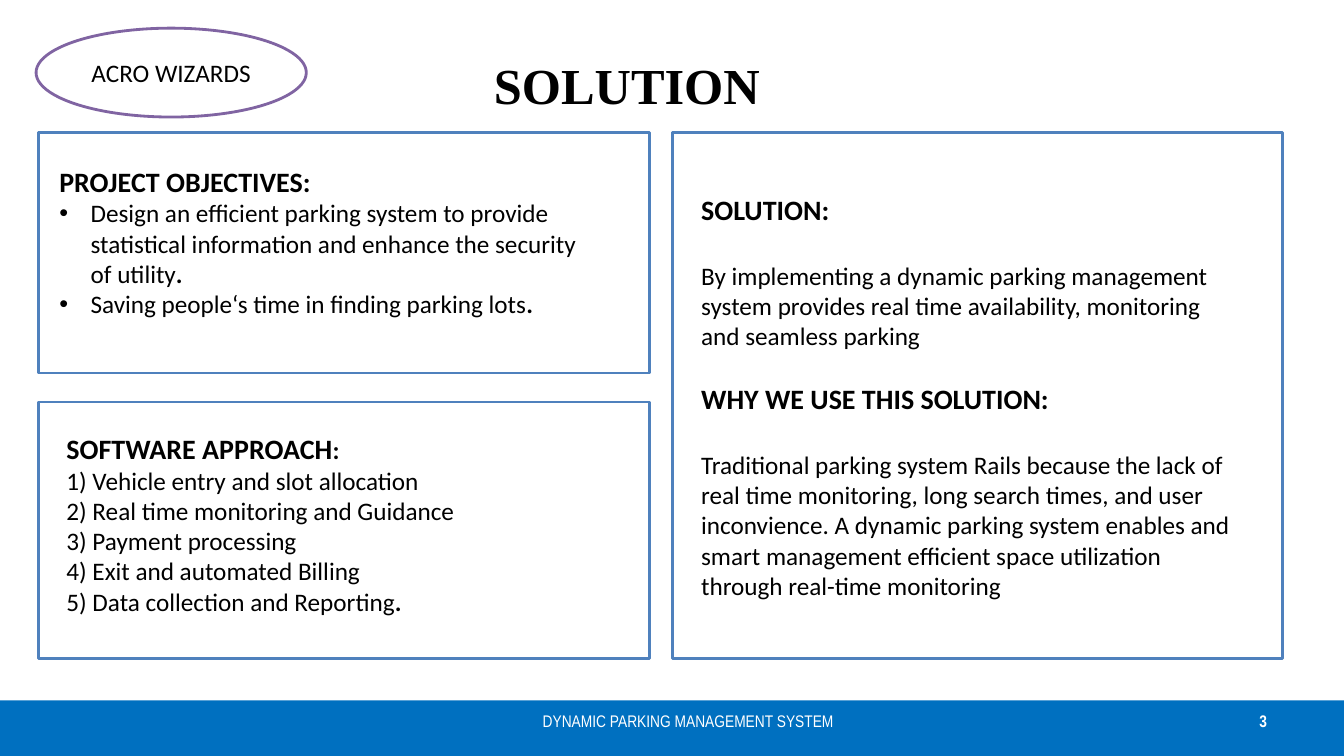
from lxml.etree import SubElement
from pptx import Presentation
from pptx.dml.color import RGBColor
from pptx.enum.shapes import MSO_SHAPE
from pptx.enum.text import MSO_ANCHOR, MSO_AUTO_SIZE, PP_ALIGN
from pptx.oxml.ns import qn
from pptx.util import Cm, Pt

COLORS = {"bar": "0070C0", "panel": "4F81BD", "badge": "8064A2",
          "text": "000000", "light": "FFFFFF"}
HEADING, BODY = 20, 18

TITLE = "SOLUTION"
TEAM = "ACRO WIZARDS"
FOOTER = "DYNAMIC PARKING MANAGEMENT SYSTEM"
PAGE = "3"

# Each paragraph: style, text, bold ending, space after in points
OBJECTIVES = [
    ("heading", "PROJECT OBJECTIVES:", "", 0),
    ("bullet", "Design an efficient parking system to provide statistical "
     "information and enhance the security of utility", ".", 0),
    ("bullet", "Saving people‘s time in finding parking lots", ".", 0),
]
APPROACH = [
    ("heading", "SOFTWARE APPROACH", ":", 0),
    ("body", "1) Vehicle entry and slot allocation", "", 0),
    ("body", "2) Real time monitoring and Guidance", "", 0),
    ("body", "3) Payment processing", "", 0),
    ("body", "4) Exit and automated Billing", "", 0),
    ("body", "5) Data collection and Reporting", ".", 0),
]
REASONS = [
    ("heading", "SOLUTION:", "", 24.4),
    ("body", "By implementing a dynamic parking management system provides "
     "real time availability, monitoring and seamless parking", "", 22),
    ("heading", "WHY WE USE THIS SOLUTION:", "", 24.4),
    ("body", "Traditional parking system Rails because the lack of real time "
     "monitoring, long search times, and user inconvience. A dynamic parking "
     "system enables and smart management efficient space utilization through "
     "real-time monitoring", "", 0),
]

# Left, top, width, height in centimetres
SLIDE_W, SLIDE_H = 33.87, 19.05
BAR_TOP = 17.65
TITLE_BOX = (0.56, 1.27, 30.48, 1.73)
BADGE_BOX = (0.91, 0.71, 6.81, 2.24)
FOOTER_BOX = (12.9, BAR_TOP, 8.89, 1.02)
PAGE_BOX = (24.28, BAR_TOP, 7.9, 1.02)
OBJECTIVES_BOX = (1.24, 4.01, 14.17, 4.19)
APPROACH_BOX = (1.42, 10.74, 14.48, 4.95)
REASONS_BOX = (17.42, 4.72, 14.17, 11.38)
PANEL_LEFT, PANEL_RIGHT, PANEL_W = 0.97, 16.94, 15.39
PANEL_TOP, PANEL_BOTTOM, APPROACH_TOP, OBJECTIVES_H = 3.35, 16.59, 10.13, 6.05
PANELS = [
    (PANEL_LEFT, PANEL_TOP, PANEL_W, OBJECTIVES_H),
    (PANEL_LEFT, APPROACH_TOP, PANEL_W, PANEL_BOTTOM - APPROACH_TOP),
    (PANEL_RIGHT, PANEL_TOP, PANEL_W, PANEL_BOTTOM - PANEL_TOP),
]


def color(key):
    return RGBColor.from_string(COLORS[key])


def place(shape, box):
    shape.left, shape.top, shape.width, shape.height = map(Cm, box)


def set_font(font, name, size, key="text", bold=False):
    font.name, font.size, font.bold = name, Pt(size), bold
    font.color.rgb = color(key)


def set_bullet(paragraph, bulleted):
    properties = paragraph._p.get_or_add_pPr()
    indent = Cm(0.79) if bulleted else 0
    properties.set("marL", str(indent))
    properties.set("indent", str(-indent))
    if bulleted:
        SubElement(properties, qn("a:buFont"), typeface="Arial")
        SubElement(properties, qn("a:buChar"), char="•")
    else:
        SubElement(properties, qn("a:buNone"))


def prepare_frame(shape, anchor):
    frame = shape.text_frame
    frame.word_wrap = True
    frame.auto_size = MSO_AUTO_SIZE.NONE
    frame.vertical_anchor = anchor
    return frame


def write_line(shape, text, name, size, key="text", bold=False,
               align=PP_ALIGN.CENTER):
    paragraph = prepare_frame(shape, MSO_ANCHOR.MIDDLE).paragraphs[0]
    paragraph.text = text
    paragraph.alignment = align
    set_font(paragraph.font, name, size, key, bold)


def write_section(shape, content):
    frame = prepare_frame(shape, MSO_ANCHOR.TOP)
    for number, (style, text, ending, gap) in enumerate(content):
        paragraph = frame.paragraphs[0] if number == 0 else frame.add_paragraph()
        heading = style == "heading"
        paragraph.space_before, paragraph.space_after = Pt(0), Pt(gap)
        set_bullet(paragraph, style == "bullet")
        set_font(paragraph.font, "Calibri", HEADING if heading else BODY,
                 bold=heading)
        paragraph.add_run().text = text
        if ending:
            run = paragraph.add_run()
            run.text = ending
            set_font(run.font, "Calibri", BODY, bold=True)


def add_outline(slide, kind, box, fill=None, line=None):
    shape = slide.shapes.add_shape(kind, *map(Cm, box))
    shape.shadow.inherit = False
    if fill:
        shape.fill.solid()
        shape.fill.fore_color.rgb = color(fill)
    else:
        shape.fill.background()
    if line:
        shape.line.color.rgb = color(line)
        shape.line.width = Pt(2)
    else:
        shape.line.fill.background()
    return shape


def main():
    deck = Presentation()
    deck.slide_width, deck.slide_height = Cm(SLIDE_W), Cm(SLIDE_H)
    slide = deck.slides.add_slide(deck.slide_layouts.get_by_name("Two Content"))
    title, objectives, approach = slide.placeholders

    place(title, TITLE_BOX)
    write_line(title, TITLE, "Times New Roman", 36, bold=True)
    for section, box, content in ((objectives, OBJECTIVES_BOX, OBJECTIVES),
                                  (approach, APPROACH_BOX, APPROACH)):
        place(section, box)
        write_section(section, content)

    for box in PANELS:
        add_outline(slide, MSO_SHAPE.RECTANGLE, box, line="panel")
    reasons = slide.shapes.add_textbox(*map(Cm, REASONS_BOX))
    write_section(reasons, REASONS)

    badge = add_outline(slide, MSO_SHAPE.OVAL, BADGE_BOX, "light", "badge")
    write_line(badge, TEAM, "Calibri", 18)

    add_outline(slide, MSO_SHAPE.RECTANGLE,
                (0, BAR_TOP, SLIDE_W, SLIDE_H - BAR_TOP), fill="bar")
    footer = slide.shapes.add_textbox(*map(Cm, FOOTER_BOX))
    write_line(footer, FOOTER, "Arial Narrow", 12, "light")
    page = slide.shapes.add_textbox(*map(Cm, PAGE_BOX))
    write_line(page, PAGE, "Arial Narrow", 12, "light", True, PP_ALIGN.RIGHT)

    deck.save("out.pptx")


if __name__ == "__main__":
    main()
